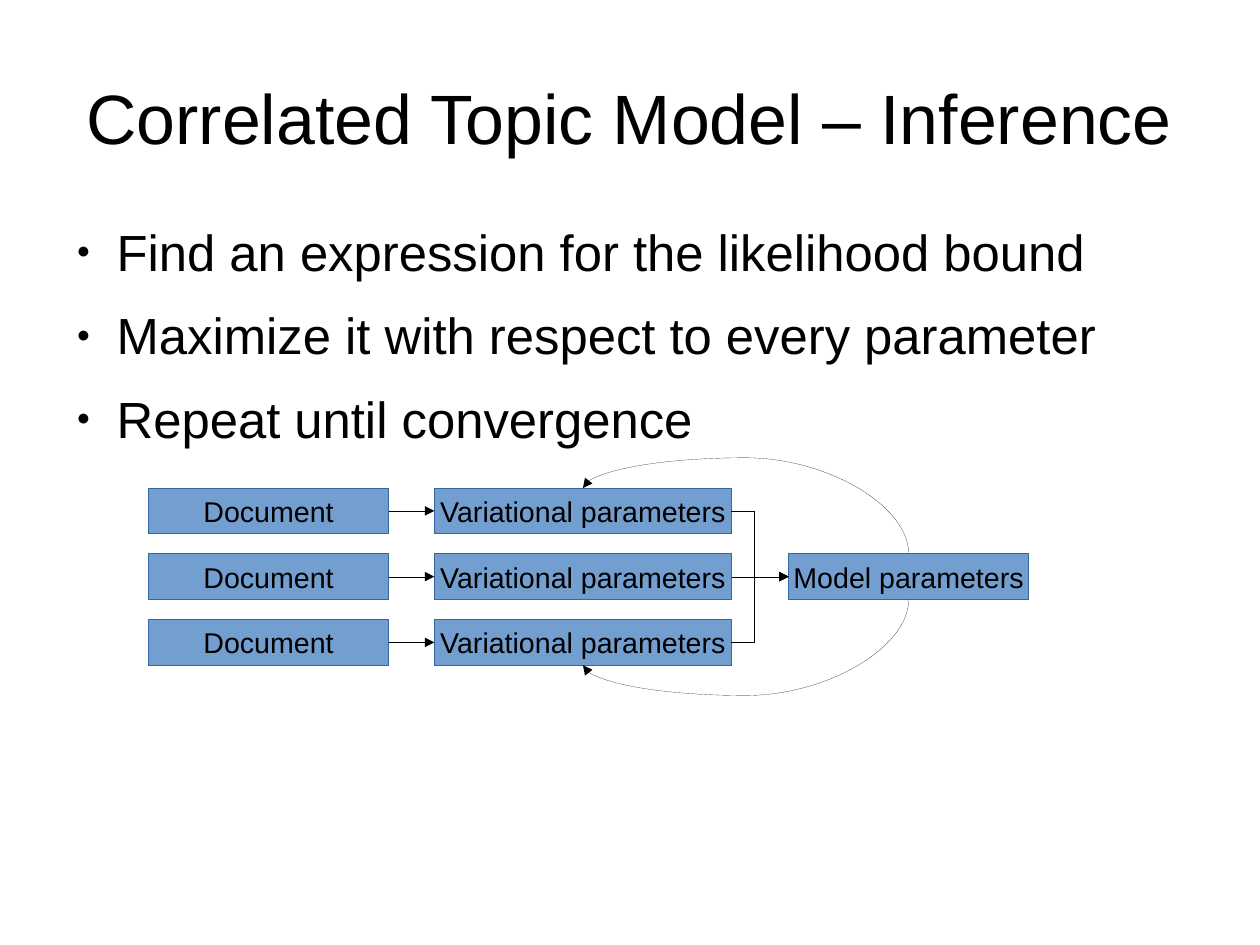
import pptx
import pptx.util
import pptx.dml.color
import pptx.enum.shapes
import pptx.enum.text
import pptx.oxml
import pptx.oxml.ns

TITLE = "Correlated Topic Model – Inference"
STEPS = [
    "Find an expression for the likelihood bound",
    "Maximize it with respect to every parameter",
    "Repeat until convergence",
]
PIPELINES = [("Document", "Variational parameters")] * 3
RESULT = "Model parameters"

BLACK = pptx.dml.color.RGBColor(0x00, 0x00, 0x00)
BOX_FILL = pptx.dml.color.RGBColor(0x72, 0x9F, 0xCF)
BOX_LINE = pptx.dml.color.RGBColor(0x34, 0x65, 0xA4)

FONT = "Arial"
HAIRLINE = pptx.util.Pt(0.01)
WIDTH, HEIGHT = pptx.util.Cm(28), pptx.util.Cm(21)
MARGIN, CONTENT_WIDTH = 0.55, 9.92
COLUMNS = [(1.3, 2.1), (3.8, 2.6), (6.9, 2.1)]
FIRST_ROW, LAST_ROW, BOX_HEIGHT = 4.27, 5.42, 0.4
ROW_STEP = (LAST_ROW - FIRST_ROW) / (len(PIPELINES) - 1)
TOP, LEFT, BOTTOM, RIGHT = range(4)
ELBOW_BEND, CURVE_BEND = 0.4, 1.46

inch = pptx.util.Inches
qn = pptx.oxml.ns.qn
ALIGN = pptx.enum.text.PP_ALIGN
ANCHOR = pptx.enum.text.MSO_ANCHOR
CONNECTOR = pptx.enum.shapes.MSO_CONNECTOR


def xml(markup):
    tag, rest = markup.split(" ", 1)
    return pptx.oxml.parse_xml(f"<{tag} {pptx.oxml.ns.nsdecls('a')} {rest}")


def write(shape, lines, size, align=ALIGN.CENTER, anchor=ANCHOR.MIDDLE,
          insets=(0, 0), wrap=True, after=0, bulleted=False):
    frame = shape.text_frame
    frame.word_wrap = wrap
    frame.vertical_anchor = anchor
    frame.margin_left = frame.margin_right = inch(insets[0])
    frame.margin_top = frame.margin_bottom = inch(insets[1])
    frame.text = "\n".join(lines)
    for paragraph in frame.paragraphs:
        paragraph.alignment = align
        paragraph.space_after = pptx.util.Pt(after)
        font = paragraph.runs[0].font
        font.name, font.size = FONT, pptx.util.Pt(size)
        font.color.rgb = BLACK
        if bulleted:
            properties = paragraph._p.get_or_add_pPr()
            properties.set("marL", str(inch(0.47)))
            properties.set("indent", str(inch(-0.35)))
            for markup in (f'a:buClr ><a:srgbClr val="{BLACK}"/></a:buClr>',
                           'a:buSzPct val="45000"/>',
                           f'a:buFont typeface="{FONT}"/>',
                           'a:buChar char="●"/>'):
                properties.append(xml(markup))


def add_box(slide, label, column, row):
    left, width = COLUMNS[column]
    box = slide.shapes.add_shape(
        pptx.enum.shapes.MSO_SHAPE.FLOWCHART_PROCESS, inch(left),
        inch(FIRST_ROW + row * ROW_STEP), inch(width), inch(BOX_HEIGHT))
    box.shadow.inherit = False
    box.fill.solid()
    box.fill.fore_color.rgb = BOX_FILL
    box.line.color.rgb = BOX_LINE
    box.line.width = HAIRLINE
    write(box, [label], 18, insets=(0.1, 0.05), wrap=False)
    return box


def add_arrow(slide, kind, source, source_side, target, target_side, bend=None):
    arrow = slide.shapes.add_connector(kind, 0, 0, 0, 0)
    arrow.begin_connect(source, source_side)
    arrow.end_connect(target, target_side)
    arrow.line.color.rgb = BLACK
    arrow.line.width = HAIRLINE
    arrow.line._get_or_add_ln().append(xml('a:tailEnd type="triangle"/>'))
    properties = arrow._element.spPr
    properties.append(xml("a:effectLst />"))
    if bend is not None:
        guides = properties.find(qn("a:prstGeom")).get_or_add_avLst()
        guides.append(xml(f'a:gd name="adj1" fmla="val {round(bend * 100000)}"/>'))
    return arrow


def add_feedback(slide, source, target, side):
    arrow = add_arrow(slide, CONNECTOR.CURVE, source, side, target, side, CURVE_BEND)
    left, top, width, height = arrow.left, arrow.top, arrow.width, arrow.height
    arrow.left, arrow.top = left + (width - height) // 2, top + (height - width) // 2
    arrow.width, arrow.height = height, width
    transform = arrow._element.spPr.find(qn("a:xfrm"))
    transform.set("rot", str((270 if side == TOP else 90) * 60000))
    transform.set("flipH", "0")
    transform.set("flipV", "1" if side == TOP else "0")


def main():
    deck = pptx.Presentation()
    deck.slide_width, deck.slide_height = WIDTH, HEIGHT
    slide = deck.slides.add_slide(deck.slide_layouts[5])

    title = slide.shapes.title
    title.left, title.top = inch(MARGIN), inch(0.33)
    title.width, title.height = inch(CONTENT_WIDTH), inch(1.38)
    write(title, [TITLE], 44)

    steps = slide.shapes.add_textbox(
        inch(MARGIN), inch(1.93), inch(CONTENT_WIDTH), inch(4.79))
    write(steps, STEPS, 32, align=ALIGN.LEFT, anchor=ANCHOR.TOP,
          after=14.2, bulleted=True)

    pipelines = [[add_box(slide, label, column, row)
                  for column, label in enumerate(labels)]
                 for row, labels in enumerate(PIPELINES)]
    middle = len(PIPELINES) // 2
    model = add_box(slide, RESULT, 2, middle)

    for row, (document, variational) in enumerate(pipelines):
        add_arrow(slide, CONNECTOR.STRAIGHT, document, RIGHT, variational, LEFT)
        if row == middle:
            add_arrow(slide, CONNECTOR.STRAIGHT, variational, RIGHT, model, LEFT)
        else:
            add_arrow(slide, CONNECTOR.ELBOW, variational, RIGHT, model, LEFT,
                      ELBOW_BEND)

    add_feedback(slide, model, pipelines[0][1], TOP)
    add_feedback(slide, model, pipelines[-1][1], BOTTOM)
    deck.save("out.pptx")


if __name__ == "__main__":
    main()
